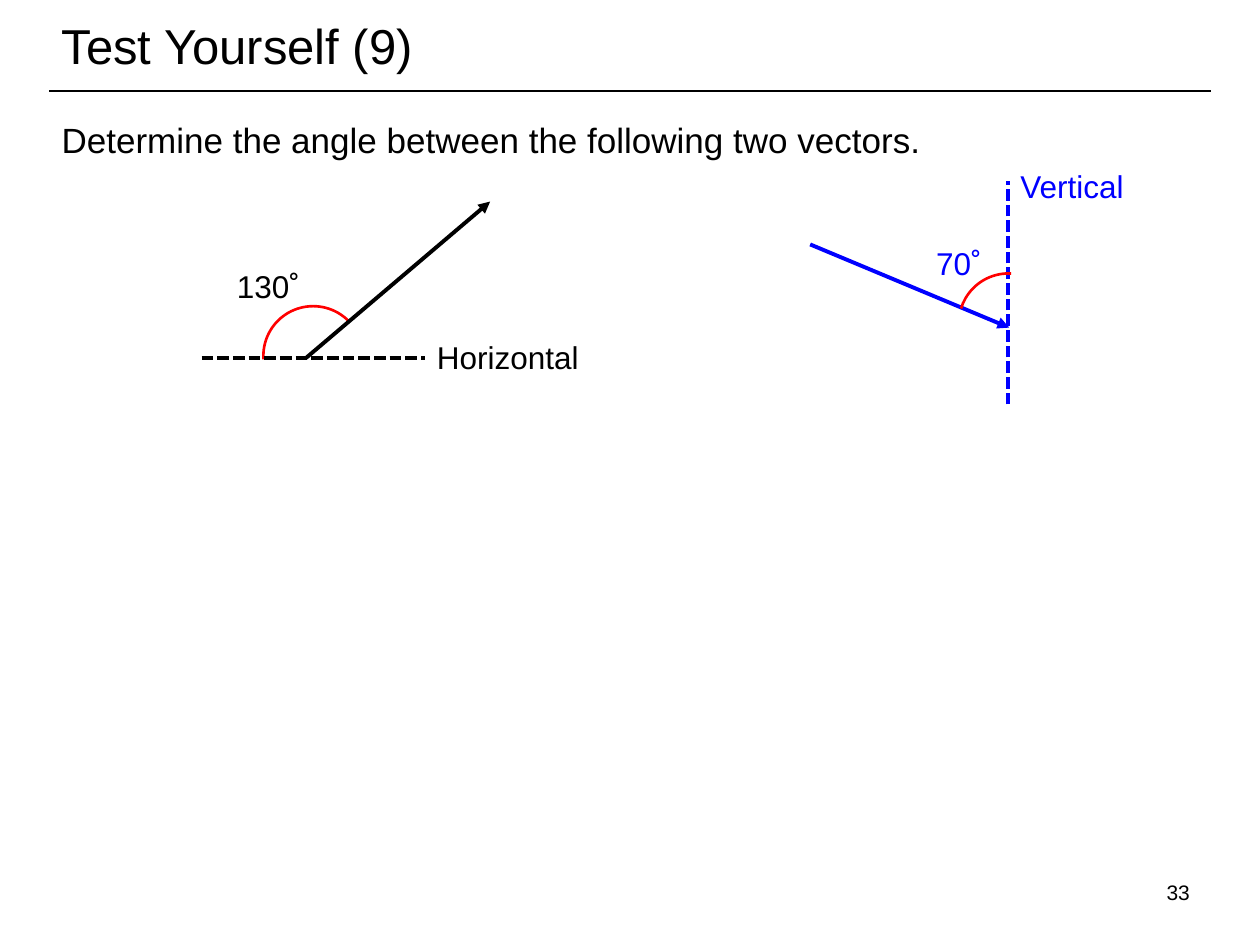
from dataclasses import dataclass

from pptx import Presentation
from pptx.dml.color import RGBColor
from pptx.enum.dml import MSO_LINE
from pptx.enum.shapes import MSO_CONNECTOR, MSO_SHAPE
from pptx.enum.text import MSO_ANCHOR, MSO_AUTO_SIZE, PP_ALIGN
from pptx.oxml.ns import qn
from pptx.util import Inches, Pt
from lxml import etree

STRAIGHT = MSO_CONNECTOR.STRAIGHT
ARC = MSO_SHAPE.ARC
DASH = MSO_LINE.SQUARE_DOT
LEFT = PP_ALIGN.LEFT
TOP, MIDDLE = MSO_ANCHOR.TOP, MSO_ANCHOR.MIDDLE
GROW = MSO_AUTO_SIZE.SHAPE_TO_FIT_TEXT
TITLE_ONLY = 5


@dataclass(frozen=True)
class Theme:
    """Colours, font, type sizes and line widths of the slide."""
    font: str = "Arial"
    black: RGBColor = RGBColor(0, 0, 0)
    blue: RGBColor = RGBColor(0, 0, 255)
    red: RGBColor = RGBColor(255, 0, 0)
    title: int = 28
    body: int = 20
    label: int = 18
    page: int = 12
    rule: float = 1
    arc: float = 1.5
    vector: float = 2.25


THEME = Theme()


def place(shape, left, top, width, height):
    """Position and size a shape, in inches."""
    shape.left, shape.top = Inches(left), Inches(top)
    shape.width, shape.height = Inches(width), Inches(height)


def write(shape, text, size, color=THEME.black, anchor=TOP):
    """Write one left-aligned paragraph into a shape."""
    frame = shape.text_frame
    frame.text = text
    frame.word_wrap = True
    frame.vertical_anchor = anchor
    paragraph = frame.paragraphs[0]
    paragraph.alignment = LEFT
    font = paragraph.runs[0].font
    font.name, font.size = THEME.font, Pt(size)
    font.color.rgb = color
    return paragraph


def add_text(slide, box, text, size):
    """Add a wrapping text box and return its paragraph."""
    shape = slide.shapes.add_textbox(*map(Inches, box))
    return write(shape, text, size)


def add_label(slide, box, text, color=THEME.black, inset=True):
    """Add a one-line label whose box grows with its text."""
    shape = slide.shapes.add_textbox(*map(Inches, box))
    write(shape, text, THEME.label, color)
    frame = shape.text_frame
    frame.word_wrap = False
    frame.auto_size = GROW
    if not inset:
        frame.margin_left = frame.margin_right = 0
        frame.margin_top = frame.margin_bottom = 0


def add_line(slide, start, end, color=THEME.black, width=THEME.vector,
             dashed=False, arrow=False):
    """Add a straight line, optionally dashed or with an arrowhead."""
    connector = slide.shapes.add_connector(
        STRAIGHT, *map(Inches, (*start, *end)))
    line = connector.line
    line.color.rgb = color
    line.width = Pt(width)
    if dashed:
        line.dash_style = DASH
    if arrow:
        etree.SubElement(line._get_or_add_ln(), qn("a:tailEnd"), type="triangle")
    etree.SubElement(connector._element.spPr, qn("a:effectLst"))


def add_angle_arc(slide, left, top, start, end, size=0.79):
    """Add a red arc between two clockwise angles in degrees."""
    shape = slide.shapes.add_shape(ARC, *map(Inches, (left, top, size, size)))
    shape.shadow.inherit = False
    shape.fill.background()
    shape.line.color.rgb = THEME.red
    shape.line.width = Pt(THEME.arc)
    for index, degrees in enumerate((start, end)):
        shape.adjustments[index] = degrees * 0.6


def add_heading(slide):
    """Add the title, its rule and the question."""
    place(slide.shapes.title, 0.39, 0, 8.66, 0.71)
    write(slide.shapes.title, "Test Yourself (9)", THEME.title, anchor=MIDDLE)
    add_line(slide, (0.39, 0.72), (9.61, 0.72), width=THEME.rule)
    question = add_text(
        slide, (0.39, 0.79, 9.21, 6.54),
        "Determine the angle between the following two vectors.", THEME.body)
    question.line_spacing = 1.3


def add_horizontal_vector(slide):
    """Add the black vector measured from the horizontal."""
    add_angle_arc(slide, 2.09, 2.43, 176.12, 316.03)
    add_line(slide, (2.43, 2.84), (3.89, 1.6), arrow=True)
    add_line(slide, (1.6, 2.84), (3.37, 2.84), dashed=True)
    add_label(slide, (1.88, 2.12, 0.5, 0.3), "130˚", inset=False)
    add_label(slide, (3.37, 2.63, 1.34, 0.4), "Horizontal")


def add_vertical_vector(slide):
    """Add the blue vector measured from the vertical."""
    add_line(slide, (6.43, 1.94), (8.01, 2.6), THEME.blue, arrow=True)
    add_line(slide, (8, 3.21), (8, 1.44), THEME.blue, dashed=True)
    add_angle_arc(slide, 7.61, 2.17, 197.16, 272.8)
    add_label(slide, (7.43, 1.94, 0.38, 0.3), "70˚", THEME.blue, inset=False)
    add_label(slide, (8, 1.28, 1.03, 0.4), "Vertical", THEME.blue)


def main():
    """Build and save the slide."""
    presentation = Presentation()
    presentation.slide_width = Inches(10)
    presentation.slide_height = Inches(7.5)
    slide = presentation.slides.add_slide(presentation.slide_layouts[TITLE_ONLY])
    add_heading(slide)
    add_horizontal_vector(slide)
    add_vertical_vector(slide)
    add_text(slide, (9.16, 6.93, 0.45, 0.4), "33", THEME.page)
    presentation.save("out.pptx")


if __name__ == "__main__":
    main()
